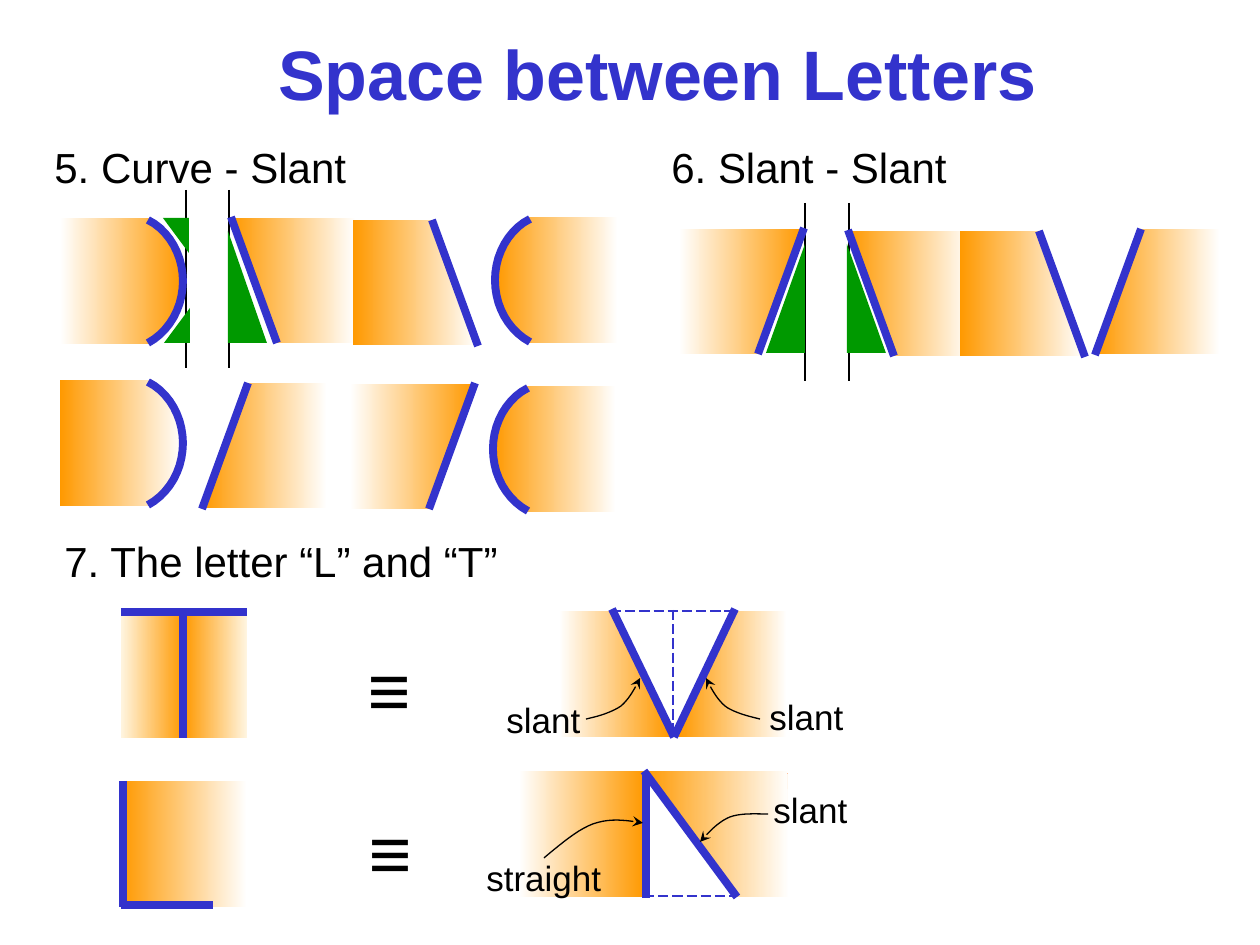
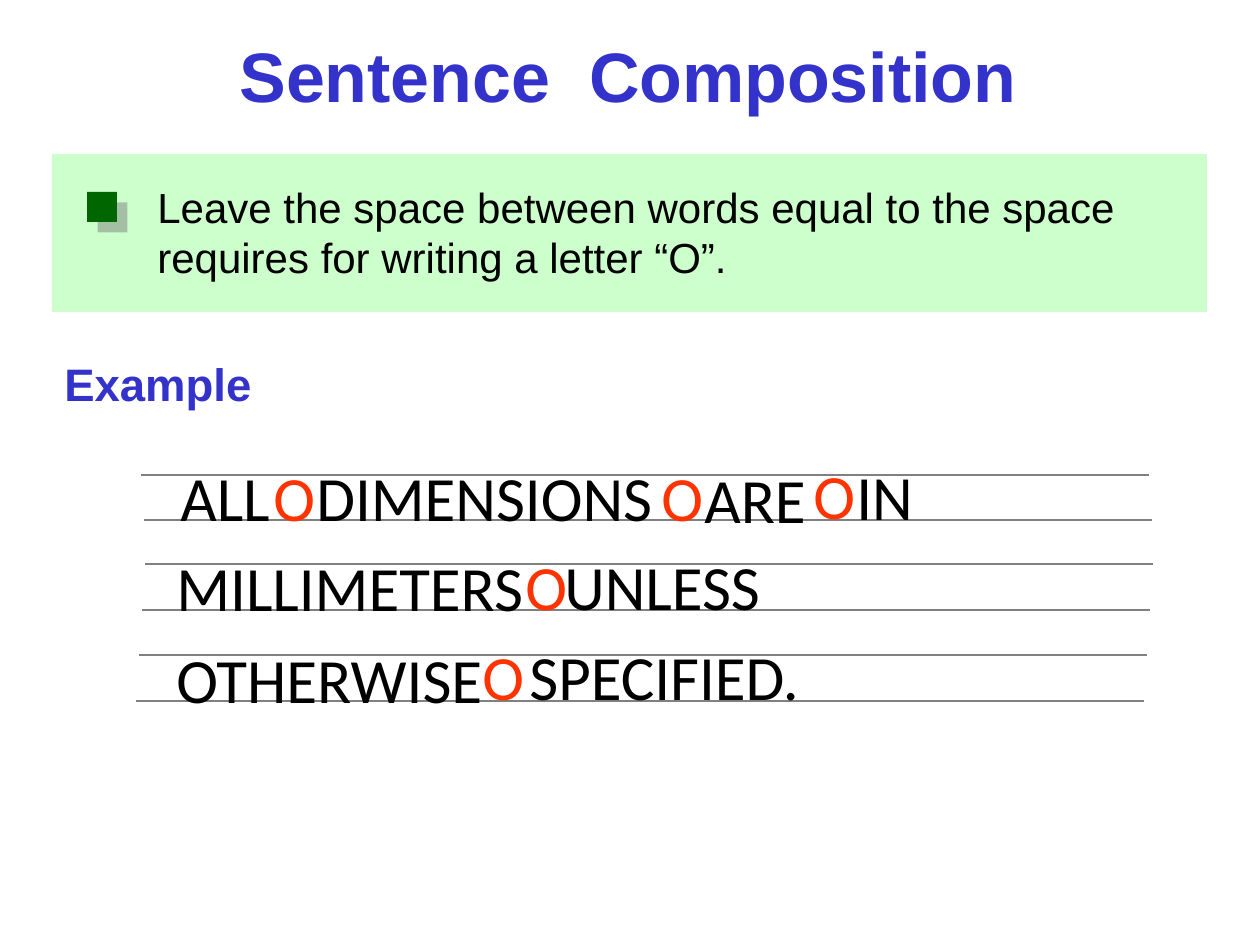
from lxml.etree import SubElement
from pptx import Presentation
from pptx.dml.color import RGBColor
from pptx.enum.dml import MSO_LINE
from pptx.enum.shapes import MSO_CONNECTOR, MSO_SHAPE
from pptx.enum.text import MSO_AUTO_SIZE
from pptx.oxml.ns import qn
from pptx.util import Pt

PX = 914400 / 126
FINE = 20  # freeform units in one px
BLUE, BLACK, WHITE, GREY = "3333CC", "000000", "FFFFFF", "808080"
ORANGE, PALE, GREEN = "FF9900", "FFF5E0", "009900"
DARK, MINT, RED = "006600", "CCFFCC", "FF3300"
FADE = {"l": (ORANGE, WHITE), "r": (WHITE, ORANGE), "mid": (PALE, ORANGE, PALE)}

# Letter sides: size, filled outline and stroke (two points, or a Bezier chain)
SIDES = {
    "slant": ((125, 125), [(0, 0), (46, 125), (125, 125), (125, 0)],
              [(0, -1), (46, 125)]),
    "curve": ((123, 126), [(0, 0), (88, 0), (106, 15), (118, 35), (123, 60),
                           (121, 82), (107, 111), (88, 126), (0, 126)],
              [(88, 2), (110, 13), (123, 38), (123, 63),
               (123, 89), (110, 113), (88, 125)]),
}
# side, left, top, flip x, flip y, where the orange is
PANELS = [
    ("slant", 231, 218, 0, 0, "l"), ("curve", 60, 218, 0, 0, "r"),
    ("slant", 679, 229, 1, 0, "r"), ("slant", 848, 231, 0, 0, "l"),
    ("slant", 960, 231, 1, 1, "l"), ("slant", 1095, 229, 0, 1, "l"),
    ("slant", 350, 384, 1, 0, "r"), ("curve", 493, 386, 1, 0, "l"),
    ("slant", 353, 220, 1, 1, "l"), ("curve", 495, 217, 1, 0, "l"),
    ("slant", 202, 383, 0, 1, "l"), ("curve", 60, 380, 0, 0, "l"),
]
GUIDES = [(186, 190), (229, 190), (805, 203), (849, 203)]
GAPS = [
    [(228, 231), (228, 343), (267, 343)], [(189, 253), (189, 218), (163, 218)],
    [(190, 308), (190, 343), (164, 343)], [(847, 244), (847, 353), (886, 353)],
    [(805, 244), (805, 353), (766, 353)],
]
BLOCKS = [(121, 612, "mid"), (121, 781, "l"), (519, 771, "r")]
WEDGES = [
    ([(559, 611), (611, 611), (670, 737), (562, 737)], "r"),
    ([(787, 611), (737, 611), (678, 737), (786, 737)], "l"),
    ([(789, 897), (738, 897), (643, 771), (787, 771)], "l"),
]
DASHES = [(611, 611, 737, 611), (673, 610, 673, 736),
          (645, 772, 645, 898), (644, 896, 737, 896)]
STROKES = [
    (183, 612, 183, 738), (121, 612, 247, 612),
    (123, 781, 123, 907), (121, 905, 213, 905),
    (612, 609, 674, 737), (735, 609, 674, 737),
    (737, 897, 644, 771), (646, 772, 646, 898),
]
ARROWS = [
    [(586, 719), (600, 716), (612, 712), (621, 706), (630, 698), (635, 688), (640, 678)],
    [(760, 719), (747, 716), (733, 712), (725, 706), (716, 698), (711, 688), (706, 678)],
    [(768, 814), (755, 814), (741, 813), (730, 817), (718, 822), (709, 832), (700, 842)],
    [(544, 858), (561, 844), (577, 830), (593, 824), (610, 818), (625, 820), (643, 823)],
]
HEADS = [("5. Curve - Slant", 42, 135, 318), ("6. Slant - Slant", 659, 135, 301),
         ("7. The letter “L” and “T”", 52, 529, 460)]
LABELS = [("slant", 494, 692, 100), ("slant", 757, 689, 100),
          ("slant", 761, 782, 100), ("straight", 474, 850, 140)]
EQUALS = [(355, 635), (356, 798)]

RULES = [(141, 475), (144, 520), (145, 564), (142, 610), (139, 655), (136, 701)]
WORDS = [
    ("ALL", 168, 452, 126), ("DIMENSIONS", 304, 452, 465), ("ARE", 692, 454, 165),
    ("IN", 844, 451, 95), ("MILLIMETERS", 164, 542, 484), ("UNLESS", 552, 541, 302),
    ("OTHERWISE", 164, 634, 435), ("SPECIFIED.", 517, 631, 396),
]
SPACES = [(261, 452), (649, 452), (801, 450), (513, 541), (470, 631)]


def px(n):
    return round(n * PX)


def rgb(code):
    return RGBColor.from_string(code)


def paint(shape, fill):
    """Fill with one colour, or fade left to right through a tuple of them."""
    shape.shadow.inherit = False
    shape.line.fill.background()
    if isinstance(fill, str):
        shape.fill.solid()
        shape.fill.fore_color.rgb = rgb(fill)
        return
    shape.fill.gradient()
    shape.fill.gradient_angle = 0
    stops = shape.element.spPr.find(qn("a:gradFill")).find(qn("a:gsLst"))
    for old in list(stops):
        stops.remove(old)
    for i, code in enumerate(fill):
        stop = SubElement(stops, qn("a:gs"), pos=str(100000 * i // (len(fill) - 1)))
        SubElement(stop, qn("a:srgbClr"), val=code)


def ink(line, color, width):
    line.color.rgb = rgb(color)
    line.width = Pt(width)


def box(slide, x, y, w, h, fill):
    shape = slide.shapes.add_shape(MSO_SHAPE.RECTANGLE, px(x), px(y), px(w), px(h))
    paint(shape, fill)
    return shape


def trace(slide, points, close):
    units = [(round(x * FINE), round(y * FINE)) for x, y in points]
    pen = slide.shapes.build_freeform(*units[0], scale=PX / FINE)
    pen.add_line_segments(units[1:], close=close)
    return pen.convert_to_shape()


def area(slide, points, fill):
    paint(trace(slide, points, True), fill)


def bend(slide, knots, color, width):
    """Draw a chain of cubic Bezier curves as an open line."""
    points, steps = [knots[0]], 10
    for i in range(0, len(knots) - 1, 3):
        for n in range(1, steps + 1):
            t = n / steps
            mix = ((1 - t) ** 3, 3 * t * (1 - t) ** 2, 3 * t * t * (1 - t), t ** 3)
            points.append(tuple(sum(m * k[axis] for m, k in zip(mix, knots[i:i + 4]))
                                for axis in (0, 1)))
    shape = trace(slide, points, False)
    shape.shadow.inherit = False
    shape.fill.background()
    ink(shape.line, color, width)
    return shape


def rule(slide, x1, y1, x2, y2, color, width=0.75):
    line = slide.shapes.add_connector(
        MSO_CONNECTOR.STRAIGHT, px(x1), px(y1), px(x2), px(y2))
    SubElement(line.element.spPr, qn("a:effectLst"))
    ink(line.line, color, width)
    return line


def write(slide, parts, x, y, w, h, size, color=BLACK, bold=False, font="Arial"):
    """Add a text box; a part "\\n" breaks the line, a part " " is a double-width gap."""
    frame = slide.shapes.add_textbox(px(x), px(y), px(w), px(h)).text_frame
    frame.word_wrap = False
    frame.auto_size = MSO_AUTO_SIZE.SHAPE_TO_FIT_TEXT
    para = frame.paragraphs[0]
    for part in parts:
        if part == "\n":
            para.add_line_break()
            continue
        run = para.add_run()
        run.text = part
        run.font.name, run.font.size, run.font.bold = font, Pt(size), bold
        run.font.color.rgb = rgb(color)
        if part == " ":
            run._r.get_or_add_rPr().set("spc", str(round(size * 27.8)))


def title(slide, parts, x, y, w):
    write(slide, parts, x, y, w, 97, 40, BLUE, True)


def panel(slide, side, left, top, flipx, flipy, glow):
    (w, h), outline, stroke = SIDES[side]

    def place(points):
        return [(left + (w - x if flipx else x), top + (h - y if flipy else y))
                for x, y in points]

    area(slide, place(outline), FADE[glow])
    edge = place(stroke)
    if len(edge) == 2:
        rule(slide, *edge[0], *edge[1], BLUE, 4.5)
    else:
        bend(slide, edge, BLUE, 4.5)


def letters(slide):
    for x, y in GUIDES:
        rule(slide, x, y, x, y + 178, BLACK)
    for item in PANELS:
        panel(slide, *item)
    for points in GAPS:
        area(slide, points, GREEN)
    for x, y, glow in BLOCKS:
        box(slide, x, y, 126, 126, FADE[glow])
    for ends in DASHES:
        rule(slide, *ends, BLUE).line.dash_style = MSO_LINE.LONG_DASH
    for points, glow in WEDGES:
        area(slide, points, FADE[glow])
    for ends in STROKES:
        rule(slide, *ends, BLUE, 4.5)
    for knots in ARROWS:
        arrow = bend(slide, knots, BLACK, 0.75)
        SubElement(arrow.element.spPr.find(qn("a:ln")), qn("a:tailEnd"), type="stealth")
    for text, x, y, w in HEADS:
        write(slide, [text], x, y, w, 63, 24)
    for text, x, y, w in LABELS:
        write(slide, [text], x, y, w, 54, 20)
    for x, y in EQUALS:
        write(slide, ["≡"], x, y, 69, 105, 44, bold=True, font="Times New Roman")
    title(slide, ["Space between Letters"], 266, 24, 784)


def sentence(slide):
    for x, y in RULES:
        rule(slide, x, y, x + 1008, y, GREY)
    box(slide, 52, 154, 1155, 158, MINT)
    write(slide, ["Leave the space between words equal to the space", "\n",
                  "requires for writing a letter “O”."], 145, 175, 983, 113, 24)
    mark = box(slide, 87, 192, 30, 30, DARK)
    shade = SubElement(mark.element.spPr.find(qn("a:effectLst")), qn("a:outerShdw"),
                       dist=str(Pt(8.5)), dir="2700000", algn="ctr", rotWithShape="0")
    tint = SubElement(shade, qn("a:srgbClr"), val=GREY)
    SubElement(tint, qn("a:alpha"), val="50000")
    write(slide, ["Example"], 52, 350, 213, 67, 26, BLUE, True)
    title(slide, ["Sentence", " ", "Composition"], 227, 26, 803)
    for text, x, y, w in WORDS:
        write(slide, [text], x, y, w, 88, 36, font="Calibri")
    for x, y in SPACES:
        write(slide, ["O"], x, y, 79, 88, 36, RED, font="Calibri")


def main():
    deck = Presentation()
    deck.slide_width, deck.slide_height = px(1260), px(945)
    for draw in (letters, sentence):
        draw(deck.slides.add_slide(deck.slide_layouts[6]))
    deck.save("out.pptx")


if __name__ == "__main__":
    main()
